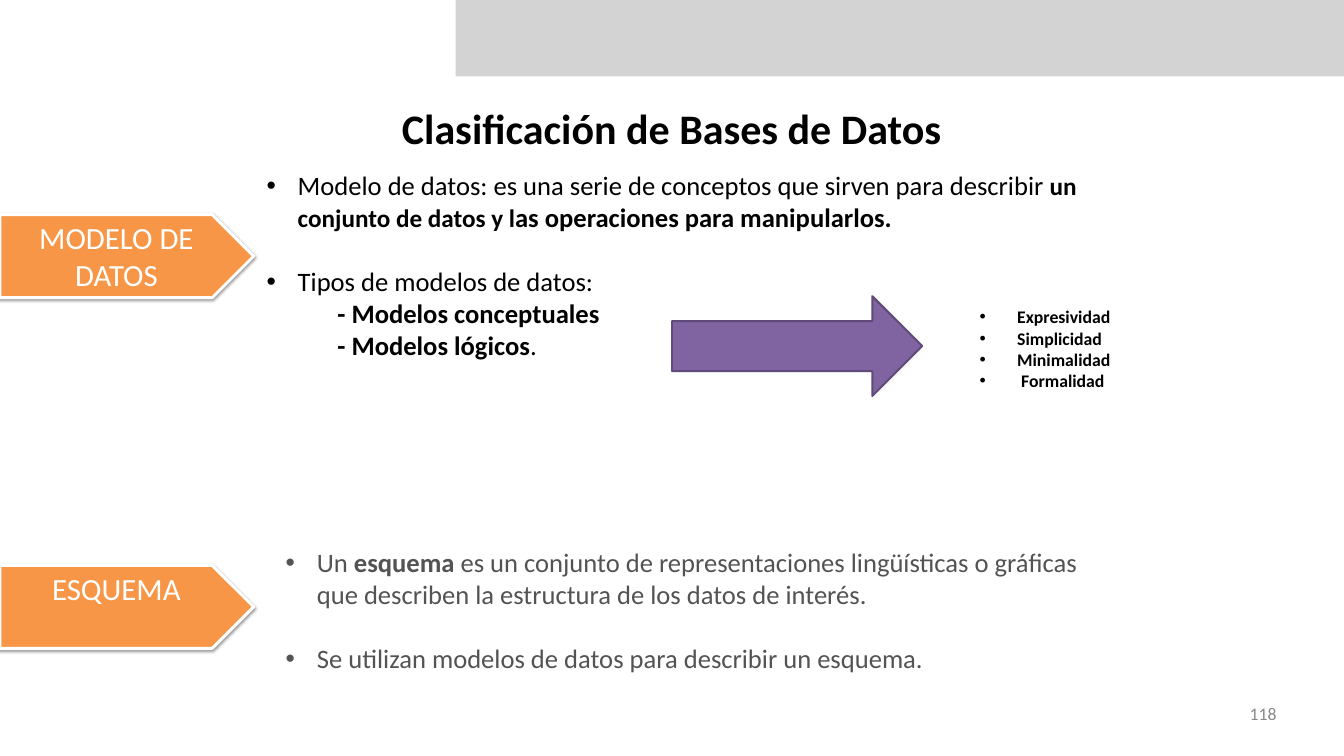
from lxml import etree
from pptx import Presentation
from pptx.dml.color import RGBColor
from pptx.enum.shapes import MSO_SHAPE
from pptx.enum.text import MSO_ANCHOR, MSO_AUTO_SIZE, PP_ALIGN
from pptx.oxml import parse_xml
from pptx.oxml.ns import qn
from pptx.util import Inches, Pt

RECT, TAG, ARROW = MSO_SHAPE.RECTANGLE, MSO_SHAPE.PENTAGON, MSO_SHAPE.RIGHT_ARROW
TOP, MIDDLE = MSO_ANCHOR.TOP, MSO_ANCHOR.MIDDLE
CENTER, LEFT, RIGHT = PP_ALIGN.CENTER, PP_ALIGN.LEFT, PP_ALIGN.RIGHT
NO_FIT = MSO_AUTO_SIZE.NONE
FONT = "Calibri"
COLORS = {name: RGBColor.from_string(value) for name, value in {
    "band": "D3D3D3", "orange": "F79646", "white": "FFFFFF",
    "purple": "8064A2", "purple_edge": "5F4A78",
    "black": "000000", "gray": "535353", "number": "898989"}.items()}
TAG_SHADOW = (
    '<a:effectLst xmlns:a="http://schemas.openxmlformats.org/drawingml/2006/main">'
    '<a:outerShdw blurRad="39370" dist="20320" dir="5400000" rotWithShape="0">'
    '<a:srgbClr val="000000"><a:alpha val="38000"/></a:srgbClr>'
    '</a:outerShdw></a:effectLst>')

prs = Presentation()
prs.slide_width, prs.slide_height = Inches(18.96), Inches(10.67)
s = prs.slides.add_slide(prs.slide_layouts[1])


def area(x, y, w, h):
    """Turn percentages of the slide into left, top, width and height."""
    return (int(prs.slide_width * x / 100), int(prs.slide_height * y / 100),
            int(prs.slide_width * w / 100), int(prs.slide_height * h / 100))


def write(sp, paragraphs, size, color, align=LEFT, inset=0.06, anchor=TOP):
    """Fill a shape with paragraphs of (bullet, indent, space before, runs)."""
    tf = sp.text_frame
    tf.word_wrap, tf.auto_size, tf.vertical_anchor = True, NO_FIT, anchor
    tf.margin_left = tf.margin_right = Inches(inset)
    tf.margin_top = tf.margin_bottom = Inches(inset)
    for i, (bullet, indent, gap, runs) in enumerate(paragraphs):
        p = tf.paragraphs[0] if i == 0 else tf.add_paragraph()
        pPr = p._p.get_or_add_pPr()
        pPr.set("marL", str(Inches(indent)))
        pPr.set("indent", str(-Inches(indent) if bullet else 0))
        if bullet:
            etree.SubElement(pPr, qn("a:buFont")).set("typeface", "Arial")
            etree.SubElement(pPr, qn("a:buChar")).set("char", "•")
        else:
            etree.SubElement(pPr, qn("a:buNone"))
        p.alignment, p.space_before = align, Pt(gap)
        for text, bold, *own_size in runs:
            r = p.add_run()
            r.text = text
            r.font.name, r.font.bold = FONT, bold
            r.font.size = Pt(own_size[0] if own_size else size)
            r.font.color.rgb = COLORS[color]


# Top band and arrow
for kind, place, fill, edge in (
        (RECT, area(33.91, 0, 66.09, 10.12), "band", None),
        (ARROW, area(50, 39.18, 18.62, 13.21), "purple", "purple_edge")):
    sp = s.shapes.add_shape(kind, *place)
    sp.shadow.inherit = False
    sp.fill.solid()
    sp.fill.fore_color.rgb = COLORS[fill]
    if edge:
        sp.line.color.rgb, sp.line.width = COLORS[edge], Pt(2)
    else:
        sp.line.fill.background()

# Title
title = s.shapes.title
title.left, title.top, title.width, title.height = area(19.83, 13.59, 60.34, 6.84)
write(title, [(False, 0, 0, [("Clasificación de Bases de Datos", True)])],
      42.7, "black", CENTER, inset=0)

# Data models
body = s.placeholders[1]
body.left, body.top, body.width, body.height = area(19.83, 22.4, 60.34, 25.59)
write(body, [
    (True, 0.44, 0, [
        ("Modelo de datos: es una serie de conceptos que sirven para describir ", False),
        ("un conjunto de datos y l", True, 25.6),
        ("as operaciones para manipularlos.", True)]),
    (True, 0.44, 32.5, [("Tipos de modelos de datos:", False)]),
    (False, 1, 0, [("- Modelos conceptuales", True)]),
    (False, 1, 0, [("- Modelos lógicos", True), (".", False)]),
], 27, "black", inset=0)

# Qualities of a model
qualities = s.shapes.add_textbox(*area(72.57, 38.52, 22.52, 15.18))
write(qualities, [(True, 0.53, 0, [(word, True)]) for word in
                  ("Expresividad", "Simplicidad", "Minimalidad", " Formalidad")],
      18, "black", anchor=MIDDLE)

# Schema
schema = s.shapes.add_textbox(*area(20.94, 71.7, 60.76, 22.4))
write(schema, [
    (True, 0.44, 0, [
        ("Un ", False), ("esquema ", True),
        ("es un conjunto de representaciones lingüísticas o gráficas "
         "que describen la estructura de los datos de interés.", False)]),
    (True, 0.44, 32.5, [
        ("Se utilizan modelos de datos para describir un esquema.", False)]),
], 27, "gray")

# Side tags
for y, lines in ((28.4, ("MODELO DE", "DATOS")), (74.79, ("ESQUEMA",))):
    tag = s.shapes.add_shape(TAG, *area(0, y, 18.88, 10.97))
    tag.fill.solid()
    tag.fill.fore_color.rgb = COLORS["orange"]
    tag.line.color.rgb, tag.line.width = COLORS["white"], Pt(3)
    tag._element.spPr.append(parse_xml(TAG_SHADOW))
    write(tag, [(False, 0, 0, [(line, False)]) for line in lines],
          31.3, "white", CENTER)

# Slide number
number = s.shapes.add_textbox(*area(71.99, 92.97, 23, 2.81))
write(number, [(False, 0, 0, [("118", False)])], 18, "number", RIGHT, inset=0)

prs.save("out.pptx")
